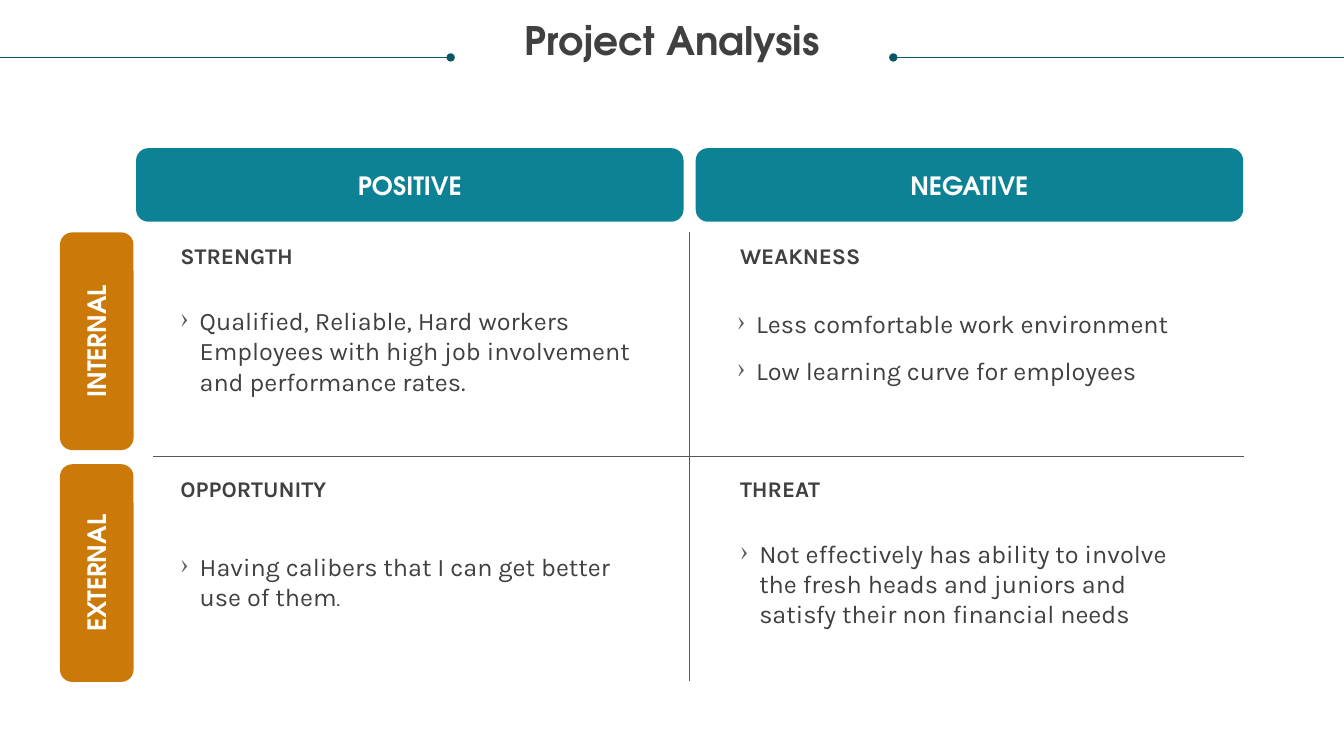
from dataclasses import dataclass

from lxml import etree
from pptx import Presentation, util as u
from pptx.dml.color import RGBColor
from pptx.enum import shapes, text
from pptx.oxml.ns import qn

PX = 9144  # EMU in one px, 100 px to the inch


@dataclass(frozen=True)
class Theme:
    teal: str = "0D8295"
    orange: str = "CB7A09"
    rule: str = "085764"
    grid: str = "585858"
    ink: str = "404040"
    white: str = "FFFFFF"
    display: str = "TeX Gyre Adventor"
    body: str = "Karla"
    title_pt: int = 28
    text_pt: int = 18
    heading_pt: int = 16
    stop_pt: int = 14


@dataclass(frozen=True)
class Box:
    left: int
    top: int
    width: int
    height: int

    def emu(self) -> list[int]:
        return [v * PX for v in (self.left, self.top, self.width, self.height)]


@dataclass(frozen=True)
class Tab:
    label: str
    box: Box
    fill: str
    rotation: int = 0


@dataclass(frozen=True)
class Rule:
    start: tuple[int, int]
    end: tuple[int, int]
    color: str
    dot: str = ""  # end of the line that carries a dot: headEnd or tailEnd


@dataclass(frozen=True)
class Quadrant:
    heading: str
    column: int
    row: int
    bullets: str
    box: Box
    stop: str = ""  # smaller closing mark


T = Theme()
COLUMN_STEP, ROW_STEP = 555, 231
TAB_DEPTH, TAB_WIDTH, TAB_HEIGHT = 73, 543, 216

TABS = [
    Tab(label, Box(135 + i * COLUMN_STEP, 147, TAB_WIDTH, TAB_DEPTH), T.teal)
    for i, label in enumerate(("POSITIVE", "NEGATIVE"))
] + [
    Tab(label, Box(-12, 302 + i * (ROW_STEP - 1), TAB_HEIGHT, TAB_DEPTH), T.orange, 270)
    for i, label in enumerate(("INTERNAL", "EXTERNAL"))
]

RULES = [
    Rule((886, 57), (1333, 57), T.rule, "headEnd"),
    Rule((0, 57), (447, 57), T.rule, "tailEnd"),
    Rule((152, 453), (1234, 453), T.grid),
    Rule((684, 230), (684, 676), T.grid),
]

QUADRANTS = [
    Quadrant("STRENGTH", 0, 0,
             "Qualified, Reliable, Hard workers Employees with high job "
             "involvement and performance rates.", Box(179, 303, 455, 91)),
    Quadrant("WEAKNESS", 1, 0,
             "Less comfortable work environment\nLow learning curve for employees",
             Box(731, 306, 455, 77)),
    Quadrant("OPPORTUNITY", 0, 1,
             "Having calibers that I can get better use of them",
             Box(179, 547, 455, 61), stop="."),
    Quadrant("THREAT", 1, 1,
             "Not effectively has ability to involve the fresh heads and juniors "
             "and satisfy their non financial needs", Box(734, 534, 455, 91)),
]


def style_runs(tf, font: str, size: int, color: str, bold: bool = False) -> None:
    for p in tf.paragraphs:
        for r in p.runs:
            r.font.name = font
            r.font.size = u.Pt(size)
            r.font.bold = bold
            r.font.color.rgb = RGBColor.from_string(color)


def add_text(s, box: Box, content: str):
    """Add a wrapped text box without margins and return its text frame."""
    tf = s.shapes.add_textbox(*box.emu()).text_frame
    tf.word_wrap = True
    tf.margin_left = tf.margin_right = tf.margin_top = tf.margin_bottom = 0
    tf.text = content
    return tf


def add_title(s) -> None:
    tf = add_text(s, Box(25, 21, 1283, 73), "Project Analysis")
    tf.paragraphs[0].alignment = text.PP_ALIGN.CENTER
    tf.paragraphs[0].line_spacing = 0.9
    style_runs(tf, T.display, T.title_pt, T.ink, bold=True)


def add_rule(s, rule: Rule) -> None:
    x1, y1, x2, y2 = (v * PX for v in rule.start + rule.end)
    line = s.shapes.add_connector(shapes.MSO_CONNECTOR.STRAIGHT, x1, y1, x2, y2)
    line.line.color.rgb = RGBColor.from_string(rule.color)
    line.line.width = u.Pt(0.5)
    if rule.dot:
        ln = line.line._get_or_add_ln()
        etree.SubElement(ln, qn(f"a:{rule.dot}"), type="oval")
    etree.SubElement(line._element.spPr, qn("a:effectLst"))


def add_tab(s, tab: Tab) -> None:
    sp = s.shapes.add_shape(shapes.MSO_SHAPE.ROUNDED_RECTANGLE, *tab.box.emu())
    sp.rotation = tab.rotation
    sp.shadow.inherit = False
    sp.fill.solid()
    sp.fill.fore_color.rgb = RGBColor.from_string(tab.fill)
    sp.line.fill.background()
    tf = sp.text_frame
    tf.text = tab.label
    tf.vertical_anchor = text.MSO_ANCHOR.MIDDLE
    tf.paragraphs[0].alignment = text.PP_ALIGN.CENTER
    style_runs(tf, T.display, T.text_pt, T.white, bold=True)


def add_bullet(p) -> None:
    p.space_before = u.Pt(12)
    pPr = p._p.get_or_add_pPr()
    pPr.set("marL", str(19 * PX))
    pPr.set("indent", str(-19 * PX))
    color = etree.SubElement(pPr, qn("a:buClr"))
    etree.SubElement(color, qn("a:srgbClr"), val=T.grid)
    etree.SubElement(pPr, qn("a:buChar"), char="›")


def add_quadrant(s, q: Quadrant) -> None:
    heading_box = Box(179 + q.column * COLUMN_STEP, 240 + q.row * ROW_STEP, 455, 27)
    style_runs(add_text(s, heading_box, q.heading),
               T.body, T.heading_pt, T.ink, bold=True)

    tf = add_text(s, q.box, q.bullets)
    for p in tf.paragraphs:
        add_bullet(p)
    if q.stop:
        tf.paragraphs[-1].add_run().text = q.stop
    style_runs(tf, T.body, T.text_pt, T.ink)
    if q.stop:
        tf.paragraphs[-1].runs[-1].font.size = u.Pt(T.stop_pt)


def main() -> None:
    prs = Presentation()
    prs.slide_width, prs.slide_height = 1333 * PX, 750 * PX
    s = prs.slides.add_slide(prs.slide_layouts[6])
    add_title(s)
    for tab in TABS:
        add_tab(s, tab)
    for rule in RULES:
        add_rule(s, rule)
    for quadrant in QUADRANTS:
        add_quadrant(s, quadrant)
    prs.save("out.pptx")


if __name__ == "__main__":
    main()
